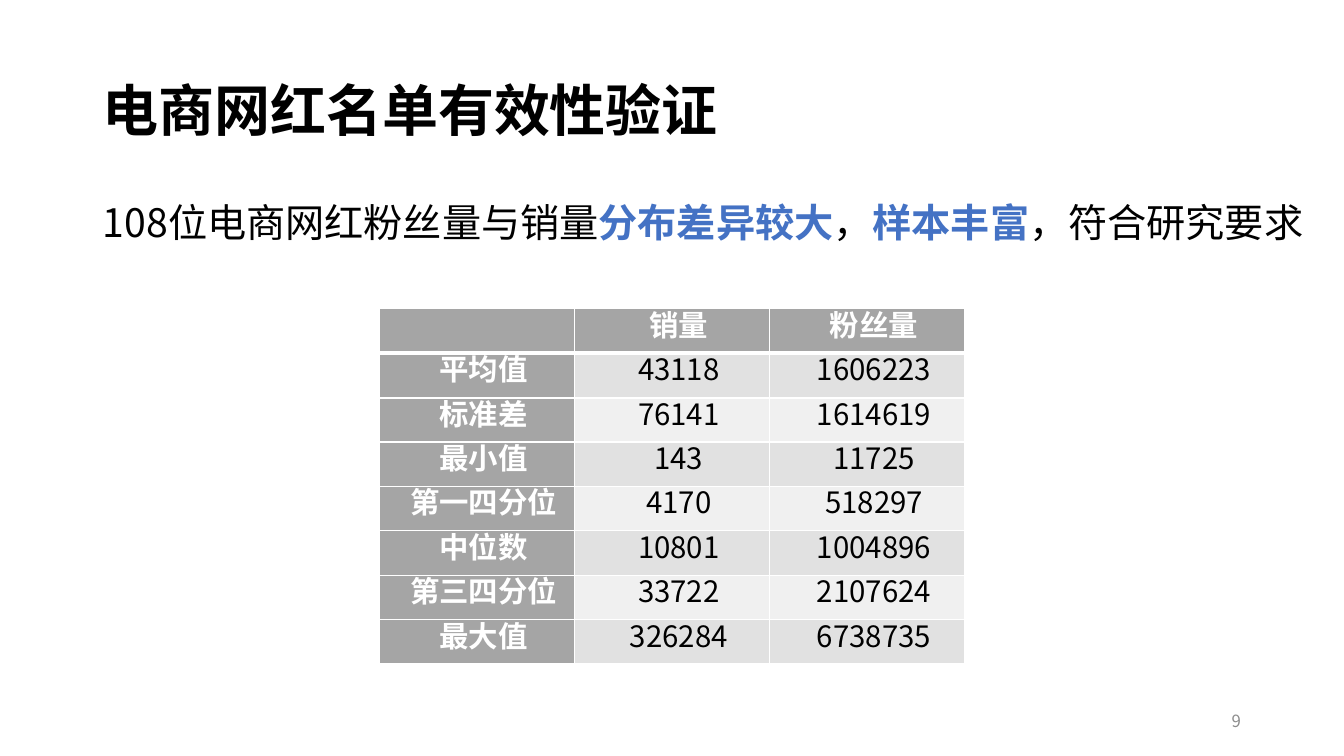
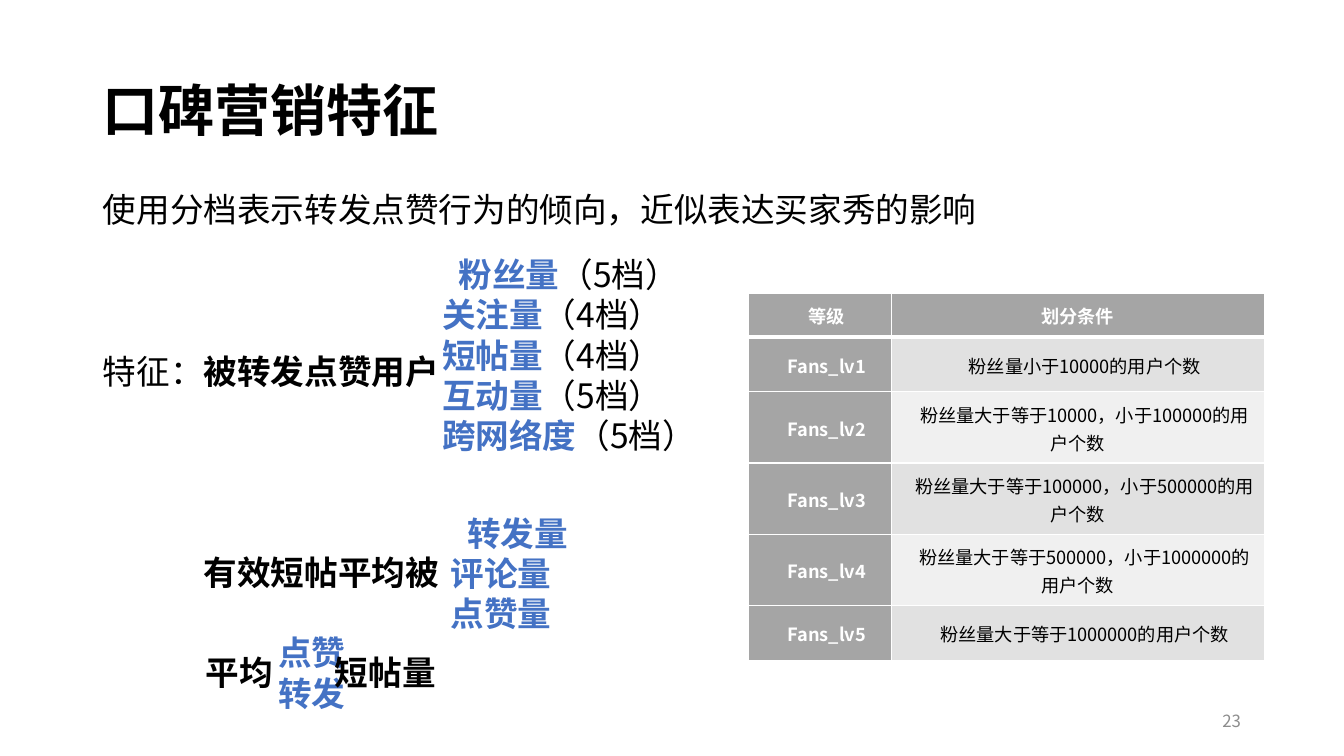
from lxml.etree import SubElement
from pptx import Presentation
from pptx.dml.color import RGBColor
from pptx.enum.text import MSO_ANCHOR as Anchor, MSO_AUTO_SIZE as AutoSize, PP_ALIGN as Align
from pptx.oxml.ns import qn
from pptx.util import Emu, Pt

# Shared style
FONT = "Noto Sans CJK SC"
BLACK, WHITE, BLUE, GREY = "000000", "FFFFFF", "4472C4", "8C8C8C"
HEADER_FILL, BAND_FILLS = "A5A5A5", ("E1E1E1", "F0F0F0")
TEXT_LEFT = 98
CELL_INDENT = 13
LINE_FACTOR = 1.2


def px(length):
    return Emu(length * 9525)


def color(hex_string):
    return RGBColor.from_string(hex_string)


def set_font(font, size, hex_string=BLACK, bold=False):
    font.name, font.size, font.bold = FONT, Pt(size), bold
    font.color.rgb = color(hex_string)
    SubElement(font._rPr, qn("a:ea"), typeface=FONT)


def set_indent(paragraph, first_line):
    properties = paragraph._p.get_or_add_pPr()
    properties.set("marL", "0")
    properties.set("indent", str(px(first_line)))


def set_borders(cell, top, bottom):
    properties = cell._tc.get_or_add_tcPr()
    for side, points in (("L", 1), ("R", 1), ("T", top), ("B", bottom)):
        line = SubElement(properties, qn(f"a:ln{side}"), w=str(Pt(points)))
        fill = SubElement(line, qn("a:solidFill"))
        SubElement(fill, qn("a:srgbClr"), val=WHITE)


class Deck:
    def __init__(self):
        self.presentation = Presentation()
        self.presentation.slide_width = px(1280)
        self.presentation.slide_height = px(720)
        self.slide = None

    def add_slide(self, title, number):
        layout = self.presentation.slide_layouts[1]
        self.slide = self.presentation.slides.add_slide(layout)
        shape = self.slide.shapes.title
        self.place(shape, 88, 38, 1104, 139)
        frame = shape.text_frame
        frame.vertical_anchor, frame.auto_size = Anchor.MIDDLE, AutoSize.NONE
        frame.text = title
        paragraph = frame.paragraphs[0]
        paragraph.alignment = Align.LEFT
        paragraph.line_spacing, paragraph.space_before = 0.9, Pt(10)
        set_font(paragraph.font, 40, bold=True)
        self.text(904, 677, 278, [[(number, GREY, False)]], size=12, align=Align.RIGHT)

    def place(self, shape, left, top, width, height):
        shape.left, shape.top = px(left), px(top)
        shape.width, shape.height = px(width), px(height)

    def body(self, top, width, runs, size):
        shape = self.slide.placeholders[1]
        self.place(shape, TEXT_LEFT, top, width, size * 2)
        self.fill_text(shape.text_frame, [runs], size)
        paragraph = shape.text_frame.paragraphs[0]
        SubElement(paragraph._p.get_or_add_pPr(), qn("a:buNone"))
        set_font(paragraph.font, size)

    def text(self, left, top, width, lines, size=24, first_indent=0, align=Align.LEFT):
        height = round(len(lines) * size * LINE_FACTOR * 4 / 3)
        box = self.slide.shapes.add_textbox(px(left), px(top), px(width), px(height))
        self.fill_text(box.text_frame, lines, size, first_indent, align)
        for paragraph in box.text_frame.paragraphs:
            set_font(paragraph.font, size)

    def fill_text(self, frame, lines, size, first_indent=0, align=Align.LEFT):
        frame.word_wrap, frame.auto_size = True, AutoSize.NONE
        frame.vertical_anchor = Anchor.TOP
        frame.margin_left = frame.margin_right = frame.margin_top = frame.margin_bottom = 0
        for index, runs in enumerate(lines):
            paragraph = frame.paragraphs[0] if index == 0 else frame.add_paragraph()
            paragraph.alignment = align
            paragraph.line_spacing = Pt(size * LINE_FACTOR)
            paragraph.space_before = Pt(0)
            set_indent(paragraph, 0 if index else first_indent)
            for words, hex_string, bold in runs:
                run = paragraph.add_run()
                run.text = words
                set_font(run.font, size, hex_string, bold)

    def table(self, left, top, widths, heights, rows, size, margin, flush_cells=()):
        frame = self.slide.shapes.add_table(
            len(rows), len(widths), px(left), px(top), px(sum(widths)), px(sum(heights)))
        table = frame.table
        table.first_row = table.horz_banding = False
        for column, width in zip(table.columns, widths):
            column.width = px(width)
        for row, height in zip(table.rows, heights):
            row.height = px(height)
        for row_index, values in enumerate(rows):
            for column_index, value in enumerate(values):
                cell = table.cell(row_index, column_index)
                is_header = row_index == 0 or column_index == 0
                set_borders(cell, 3 if row_index == 1 else 1, 3 if row_index == 0 else 1)
                cell.fill.solid()
                fill = HEADER_FILL if is_header else BAND_FILLS[(row_index - 1) % 2]
                cell.fill.fore_color.rgb = color(fill)
                cell.vertical_anchor = Anchor.MIDDLE
                cell.margin_left = cell.margin_right = px(margin)
                cell.margin_top = cell.margin_bottom = 0
                cell.text = value
                paragraph = cell.text_frame.paragraphs[0]
                paragraph.alignment, paragraph.line_spacing = Align.CENTER, Pt(20)
                flush = (row_index, column_index) in flush_cells
                set_indent(paragraph, 0 if flush else CELL_INDENT)
                set_font(paragraph.font, size, WHITE if is_header else BLACK, is_header)


def build_validity_slide(deck):
    deck.add_slide("电商网红名单有效性验证", "9")
    deck.body(189, 1173, [
        ("108位电商网红粉丝量与销量", BLACK, False),
        ("分布差异较大", BLUE, True),
        ("，", BLACK, False),
        ("样本丰富", BLUE, True),
        ("，符合研究要求", BLACK, False),
    ], size=28)
    deck.table(361, 294, [186] * 3, [42, 43, 42, 42] * 2, [
        ("", "销量", "粉丝量"),
        ("平均值", "43118", "1606223"),
        ("标准差", "76141", "1614619"),
        ("最小值", "143", "11725"),
        ("第一四分位", "4170", "518297"),
        ("中位数", "10801", "1004896"),
        ("第三四分位", "33722", "2107624"),
        ("最大值", "326284", "6738735"),
    ], size=21, margin=6)


def build_features_slide(deck):
    deck.add_slide("口碑营销特征", "23")
    deck.body(180, 1000, [("使用分档表示转发点赞行为的倾向，近似表达买家秀的影响", BLACK, False)], size=24)

    # Features of the users
    deck.text(TEXT_LEFT, 334, 330, [[("特征：", BLACK, False), ("被转发点赞用户", BLACK, True)]])
    levels = [("粉丝量", 5), ("关注量", 4), ("短帖量", 4), ("互动量", 5), ("跨网络度", 5)]
    deck.text(421, 242, 280, [
        [(name, BLUE, True), (f"（{count}档）", BLACK, False)] for name, count in levels
    ], first_indent=16)

    # Features of the posts
    deck.text(194, 526, 235, [[("有效短帖平均被", BLACK, True)]])
    deck.text(429, 488, 150, [
        [(name, BLUE, True)] for name in ("转发量", "评论量", "点赞量")
    ], first_indent=16)
    deck.text(196, 621, 70, [[("平均", BLACK, True)]])
    deck.text(265, 602, 70, [[(name, BLUE, True)] for name in ("点赞", "转发")])
    deck.text(319, 621, 110, [[("短帖量", BLACK, True)]])

    # Follower levels
    conditions = ["小于10000", "大于等于10000，小于100000", "大于等于100000，小于500000",
                  "大于等于500000，小于1000000", "大于等于1000000"]
    rows = [("等级", "划分条件")] + [
        (f"Fans_lv{level}", f"粉丝量{condition}的用户个数")
        for level, condition in enumerate(conditions, 1)]
    deck.table(713, 279, [136, 355], [42, 52, 68, 68, 68, 52], rows,
               size=13, margin=8, flush_cells={(0, 1)})


def main():
    deck = Deck()
    build_validity_slide(deck)
    build_features_slide(deck)
    deck.presentation.save("out.pptx")


if __name__ == "__main__":
    main()
